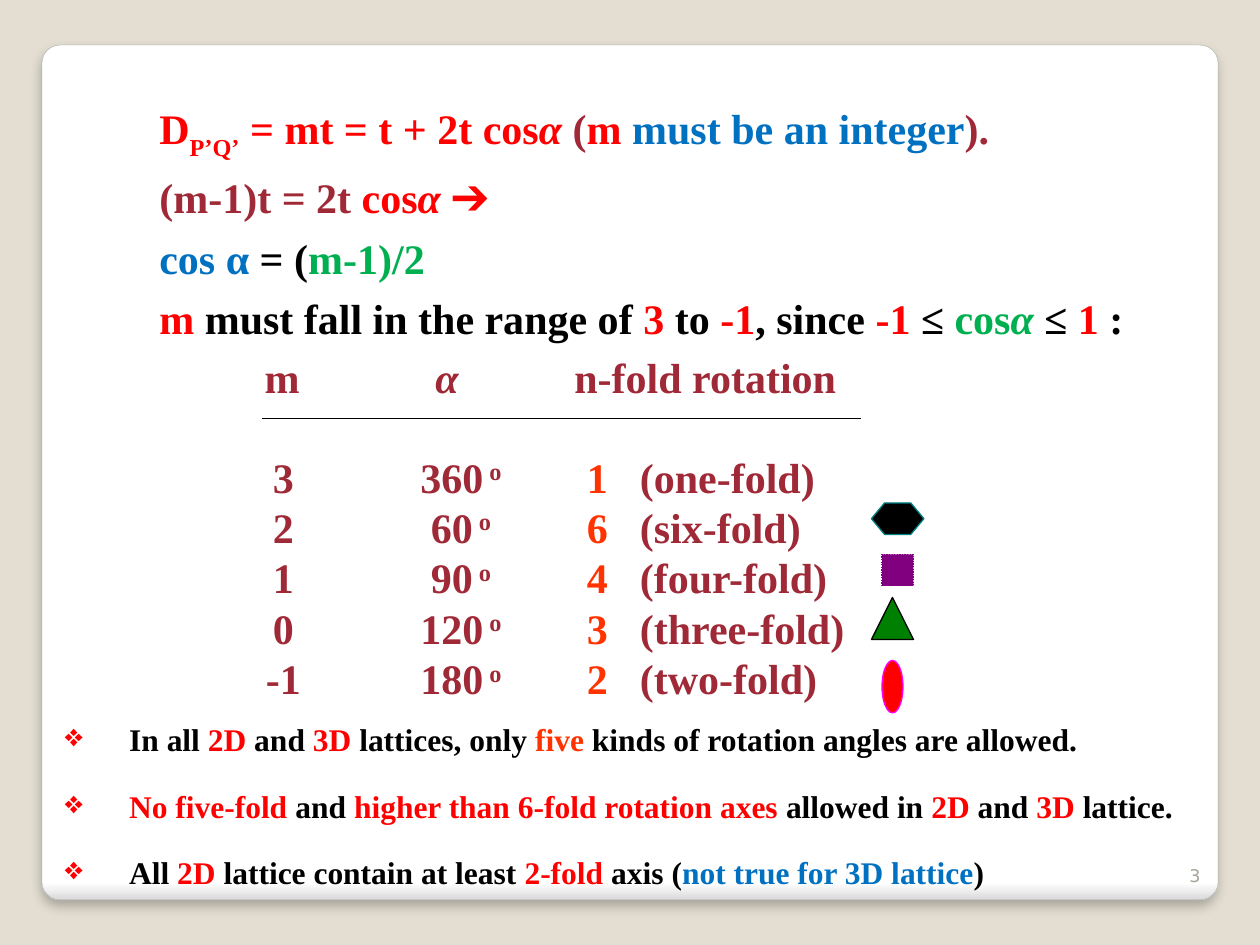
"""Build the slide on rotation axes that a lattice allows."""
from dataclasses import dataclass

from lxml.etree import SubElement
from pptx import Presentation
from pptx.dml.color import RGBColor
from pptx.enum.dml import MSO_LINE_DASH_STYLE as Dash
from pptx.enum.shapes import MSO_CONNECTOR as Connector
from pptx.enum.shapes import MSO_SHAPE as Shape
from pptx.enum.text import MSO_ANCHOR as Anchor
from pptx.enum.text import PP_ALIGN as Align
from pptx.oxml.ns import qn
from pptx.slide import Slide
from pptx.util import Inches, Pt

BLACK, RED, BLUE, GREEN = "000000", "FF0000", "0070C0", "00B050"
MAROON, ORANGE, GREY = "9F2936", "FF3300", "A8A49B"
BASELINES = {"super": "30000", "sub": "-30000"}

EQUATIONS = [
    [("D", RED), ("P’Q’", RED, "sub"), (" = mt = t + 2t cos", RED),
     ("α ", RED, "italic"), ("(", MAROON), ("m ", RED),
     ("must be an integer", BLUE), (").", MAROON)],
    [("(m-1)t = 2t ", MAROON), ("cos", RED), ("α ➔", RED, "italic")],
    [("cos α ", BLUE), ("= (", BLACK), ("m-1)/2", GREEN)],
    [("m", RED), (" must fall in the range of ", BLACK), ("3", RED),
     (" to ", BLACK), ("-1", RED), (", since ", BLACK), ("-1 ", RED),
     ("≤ ", BLACK), ("cos", GREEN), ("α", GREEN, "italic"),
     (" ≤ ", BLACK), ("1", RED), (" :", BLACK)],
]
ROTATIONS = [("3", "360", "1", "one"), ("2", "60", "6", "six"),
             ("1", "90", "4", "four"), ("0", "120", "3", "three"),
             ("-1", "180", "2", "two")]
CONCLUSIONS = [
    [("In all ", BLACK), ("2D", RED), (" and ", BLACK), ("3D", RED),
     (" lattices, only ", BLACK), ("five", ORANGE),
     (" kinds of rotation angles are allowed.", BLACK)],
    [("No five-fold ", RED), ("and ", BLACK),
     ("higher than 6-fold rotation axes ", RED), ("allowed in ", BLACK),
     ("2D ", RED), ("and ", BLACK), ("3D ", RED), ("lattice.", BLACK)],
    [("All ", BLACK), ("2D", RED), (" lattice contain at least ", BLACK),
     ("2-fold", RED), (" axis (", BLACK), ("not true for 3D lattice", BLUE),
     (")", BLACK)],
]
SYMBOLS = [
    (Shape.HEXAGON, (83, 47.9, 5, 3), "000000", "008080"),
    (Shape.RECTANGLE, (84, 52.8, 3, 3), "800080", "800080"),
    (Shape.ISOSCELES_TRIANGLE, (83, 56.9, 4, 4), "008000", "000000"),
    (Shape.OVAL, (84, 62.9, 2, 5), "FF0000", "FF00FF"),
]


def colour(value):
    """Turn a hex string into a colour."""
    return RGBColor.from_string(value)


def cells(*counts):
    """Turn counts of grid cells, twelve to the inch, into lengths."""
    return [Inches(count / 12) for count in counts]


@dataclass
class Painter:
    """Hold the style and the current slide."""

    page: Slide
    font: str = "Times New Roman"
    bold: bool = True

    def panel(self, area):
        """Draw the rounded white sheet with its soft shadow."""
        sheet = self.symbol(Shape.ROUNDED_RECTANGLE, area, "FFFFFF", "A4A4A4", 0.16)
        sheet.adjustments[0] = 0.021
        sheet.fill.gradient()
        sheet.fill.gradient_angle = 270
        stops = zip(sheet.fill.gradient_stops, (0.98, 1), ("FFFFFF", "DADADA"))
        for stop, position, shade in stops:
            stop.position = position
            stop.color.rgb = colour(shade)
        effects = sheet._element.spPr.find(qn("a:effectLst"))
        shadow = SubElement(effects, qn("a:outerShdw"), blurRad=str(Pt(6)),
                            dist=str(Pt(4)), dir="5400000", rotWithShape="0")
        tint = SubElement(shadow, qn("a:srgbClr"), val=BLACK)
        SubElement(tint, qn("a:alpha"), val="25000")

    def symbol(self, kind, area, fill, edge, weight=0.75):
        """Draw a filled and outlined preset shape."""
        shape = self.page.shapes.add_shape(kind, *cells(*area))
        shape.shadow.inherit = False
        shape.fill.solid()
        shape.fill.fore_color.rgb = colour(fill)
        shape.line.color.rgb = colour(edge)
        shape.line.width = Pt(weight)
        return shape

    def rule(self, start, end):
        """Draw a thin straight line."""
        line = self.page.shapes.add_connector(
            Connector.STRAIGHT, *cells(*start, *end))
        line.line.color.rgb = colour(BLACK)
        line.line.width = Pt(0.75)
        SubElement(line._element.spPr, qn("a:effectLst"))

    def text(self, area, paragraphs, size, spacing=None, gap=None):
        """Write paragraphs of coloured runs in a text box."""
        box = self.page.shapes.add_textbox(*cells(*area))
        frame = box.text_frame
        frame.word_wrap = True
        for index, runs in enumerate(paragraphs):
            para = frame.add_paragraph() if index else frame.paragraphs[0]
            if spacing:
                para.line_spacing = spacing
            if gap:
                para.space_after = Pt(gap)
            for run in runs:
                self.span(para, size, *run)
        return frame

    def span(self, para, size, words, shade, style=None):
        """Add one run to a paragraph."""
        span = para.add_run()
        span.text = words
        span.font.name = self.font
        span.font.size = Pt(size)
        span.font.bold = self.bold
        span.font.italic = style == "italic"
        span.font.color.rgb = colour(shade)
        if style in BASELINES:
            span._r.get_or_add_rPr().set("baseline", BASELINES[style])

    def bullets(self, frame, mark, shade, indent):
        """Give every paragraph a hanging coloured bullet."""
        for para in frame.paragraphs:
            props = para._p.get_or_add_pPr()
            props.set("marL", str(Inches(indent)))
            props.set("indent", str(-Inches(indent)))
            tint = SubElement(props, qn("a:buClr"))
            SubElement(tint, qn("a:srgbClr"), val=shade)
            SubElement(props, qn("a:buChar"), char=mark)

    def tabs(self, para, stops):
        """Set the tab stops of a paragraph."""
        stop_list = SubElement(para._p.get_or_add_pPr(), qn("a:tabLst"))
        for place, side in stops:
            SubElement(stop_list, qn("a:tab"), pos=str(Inches(place)), algn=side)


def rotation_table(painter):
    """Write the aligned list of angles and rotation axes."""
    header = [("\tm\t", MAROON), ("α", MAROON, "italic"),
              ("\tn-fold rotation", MAROON)]
    rows = [[(f"\t{m}\t{angle}", MAROON), (" o", MAROON, "super"),
             (f"\t{fold}", ORANGE), (f"\t({name}-fold)", MAROON)]
            for m, angle, fold, name in ROTATIONS]
    frame = painter.text((18, 32.9, 66.8, 35.2), [header, *rows], 24)
    first, *others = frame.paragraphs
    painter.tabs(first, [(0.64, "ctr"), (1.95, "ctr"), (2.96, "l")])
    others[0].space_before = Pt(28)
    for para in others:
        painter.tabs(para, [(0.65, "ctr"), (2.06, "ctr"), (3.06, "l"), (3.48, "l")])
    painter.rule((25, 39.85), (82, 39.85))


def main():
    """Build and save the deck."""
    deck = Presentation()
    deck.slide_width, deck.slide_height = cells(120, 90)
    page = deck.slides.add_slide(deck.slide_layouts[6])
    page.background.fill.solid()
    page.background.fill.fore_color.rgb = colour("E3DED1")

    painter = Painter(page)
    painter.panel((4, 4.3, 112, 81.4))
    conclusions = painter.text((5, 67.3, 110, 22), CONCLUSIONS, 18, 1.2, 6)
    for para in conclusions.paragraphs[1:]:
        para.space_before = Pt(6)
    painter.bullets(conclusions, "❖", RED, 0.51)
    rotation_table(painter)
    hexagon, square, *_ = [painter.symbol(*symbol) for symbol in SYMBOLS]
    hexagon.adjustments[0] = 0.417
    square.line.dash_style = Dash.ROUND_DOT

    footer = Painter(page, "DejaVu Sans", False)
    number = footer.text((109.5, 80.2, 6, 4.8), [[("3", GREY)]], 10)
    number.vertical_anchor = Anchor.BOTTOM
    number.paragraphs[0].alignment = Align.RIGHT
    painter.text((14, 8, 96, 24.5), EQUATIONS, 24, 1.2)
    deck.save("out.pptx")


if __name__ == "__main__":
    main()
